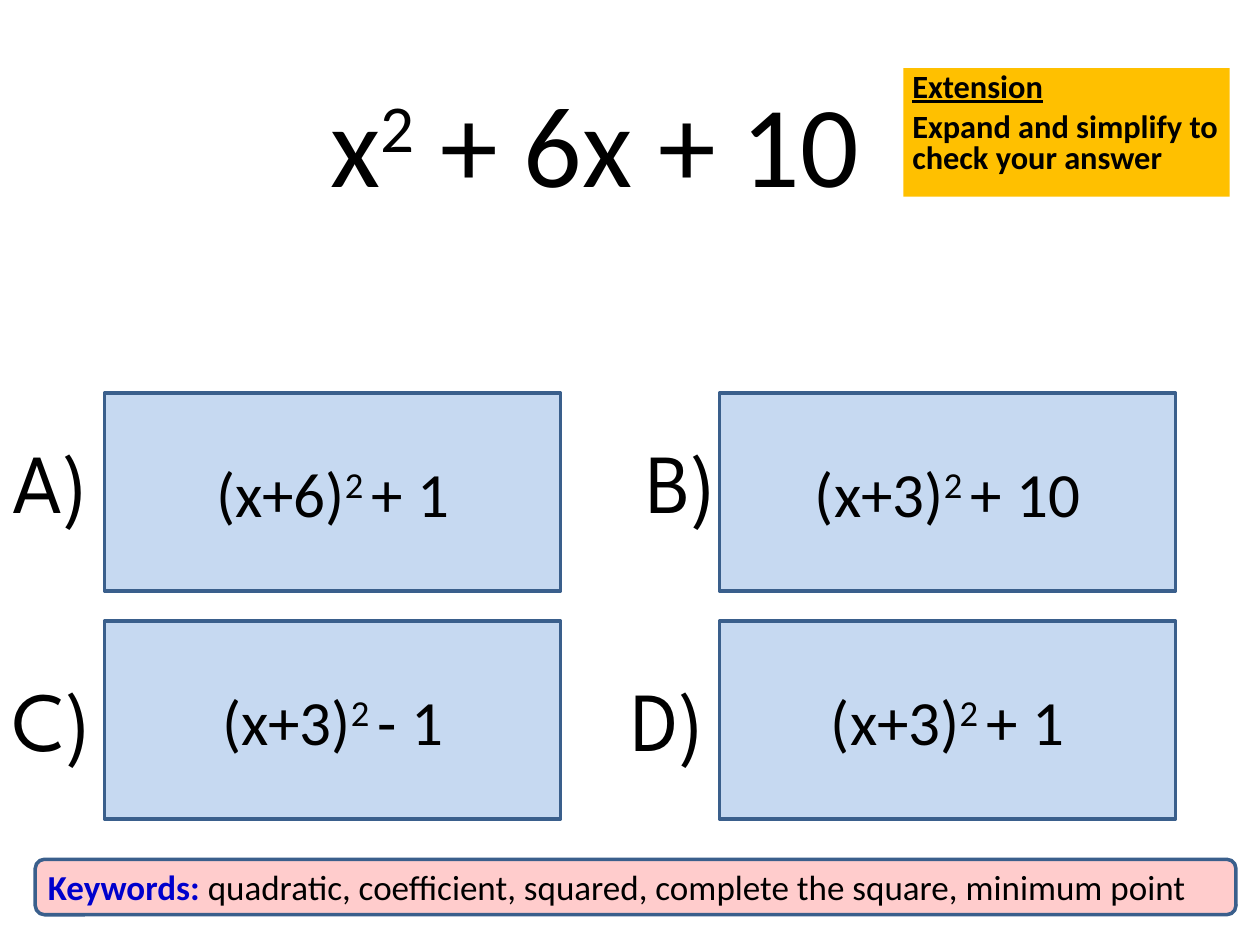
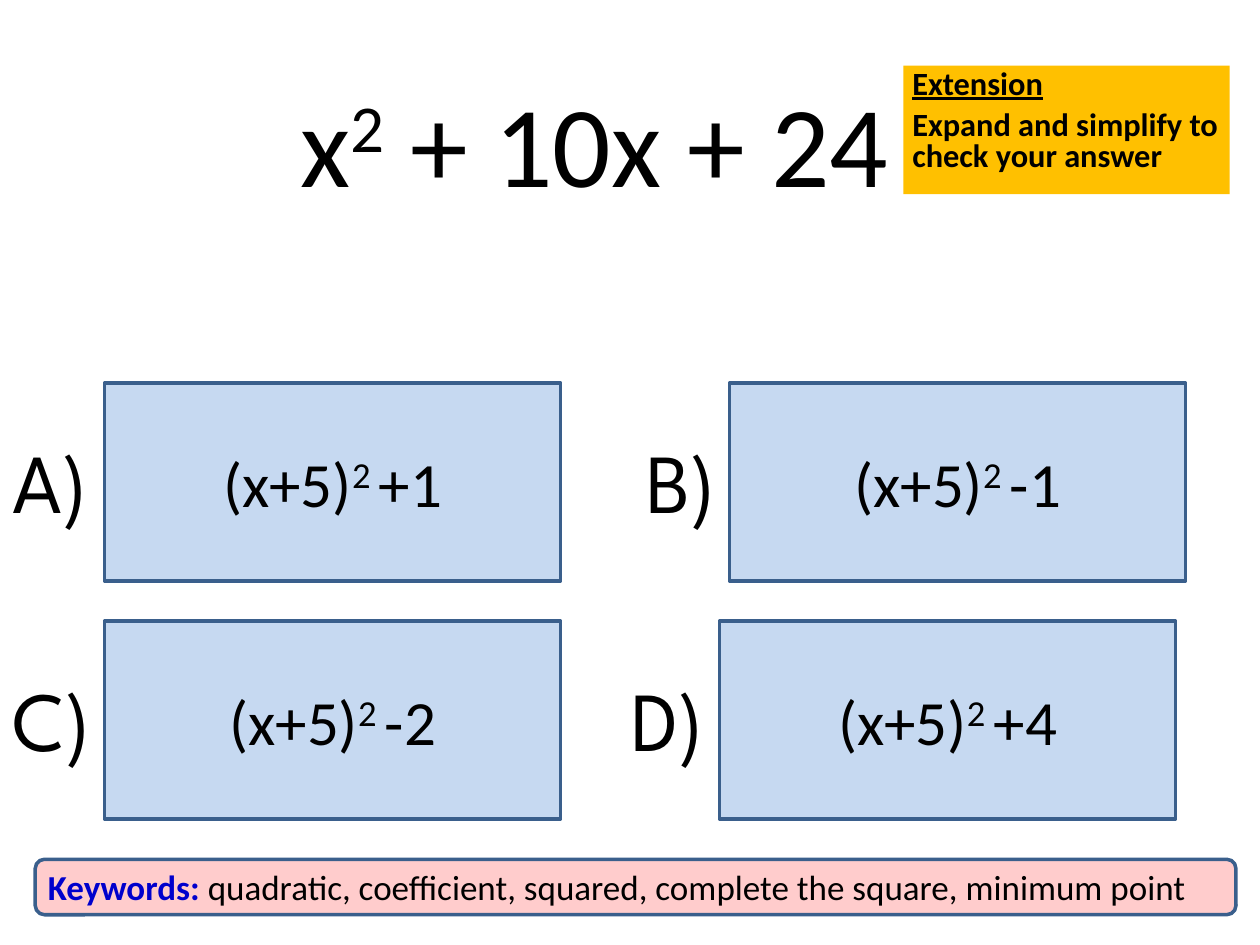
from dataclasses import dataclass

from pptx import Presentation
from pptx.dml.color import RGBColor as RGB
from pptx.enum.shapes import MSO_SHAPE as SHAPE
from pptx.enum.text import MSO_ANCHOR as ANCHOR, MSO_AUTO_SIZE as AUTO, PP_ALIGN as ALIGN
from pptx.util import Inches, Pt


@dataclass(frozen=True)
class Theme:
    """Colours, fonts and type sizes of the quiz slides."""
    ink: str = "000000"
    option: str = "C6D9F1"
    outline: str = "3A5F8C"
    bar: str = "FFCCCC"
    keyword: str = "0000CC"
    note: str = "FFC000"
    body_font: str = "Calibri"
    label_font: str = "League Spartan"
    equation_size: float = 66
    label_size: float = 48
    option_size: float = 36
    bar_size: float = 20
    note_size: float = 18.5
    line_width: float = 2


T = Theme()
TITLE_ONLY = 5
OPTION_SIZE = (3.62, 1.57)
LABELS = {
    "A)": (0, 3.36, 0.95, 0.91),
    "B)": (5.03, 3.36, 0.84, 0.91),
    "C)": (0, 5.25, 1, 0.91),
    "D)": (4.91, 5.25, 0.95, 0.91),
}
LEFT, RIGHT, LOWER = 0.83, 5.71, 4.93
QUESTIONS = [
    {
        "equation": " + 6x + 10",
        "options": [("(x+6)", "+ 1"), ("(x+3)", "+ 10"), ("(x+3)", "- 1"), ("(x+3)", "+ 1")],
        "spots": [(LEFT, 3.12), (RIGHT, 3.12), (LEFT, LOWER), (RIGHT, LOWER)],
        "note_top": 0.54,
    },
    {
        "equation": " + 10x + 24",
        "options": [("(x+5)", "+1"), ("(x+5)", "-1"), ("(x+5)", "-2"), ("(x+5)", "+4")],
        "spots": [(LEFT, 3.04), (5.79, 3.04), (LEFT, LOWER), (RIGHT, LOWER)],
        "note_top": 0.52,
    },
]


def write(tf, paragraphs, size, font=T.body_font, color=T.ink, bold=False, align=ALIGN.LEFT,
          anchor=ANCHOR.TOP, wrap=True, margins=(0.1, 0.05), spacing=None, gap=0):
    """Fill a text frame with paragraphs of (text, overrides) runs."""
    tf.auto_size = AUTO.NONE
    tf.word_wrap = wrap
    tf.vertical_anchor = anchor
    tf.margin_left = tf.margin_right = Inches(margins[0])
    tf.margin_top = tf.margin_bottom = Inches(margins[1])
    for i, runs in enumerate(paragraphs):
        p = tf.add_paragraph() if i else tf.paragraphs[0]
        p.alignment = align
        p.space_before = Pt(gap if i else 0)
        if spacing:
            p.line_spacing = spacing
        for text, extra in runs:
            r = p.add_run()
            r.text = text
            r.font.name = font
            r.font.size = Pt(size)
            r.font.color.rgb = RGB.from_string(extra.get("color", color))
            r.font.bold = extra.get("bold", bold)
            r.font.underline = extra.get("underline", False)
            if extra.get("raised"):
                r._r.get_or_add_rPr().set("baseline", "30000")


def add_panel(s, box, fill, kind=SHAPE.RECTANGLE, outlined=True):
    """Add a flat filled shape and return it."""
    sp = s.shapes.add_shape(kind, *map(Inches, box))
    sp.shadow.inherit = False
    sp.fill.solid()
    sp.fill.fore_color.rgb = RGB.from_string(fill)
    if outlined:
        sp.line.color.rgb = RGB.from_string(T.outline)
        sp.line.width = Pt(T.line_width)
    else:
        sp.line.fill.background()
    return sp


def squared(base, power, rest):
    """Return the runs of a squared term and what follows it."""
    return [(base, {}), (power, {"raised": True}), (rest, {})]


def add_equation(s, rest):
    """Place the quadratic in the title placeholder."""
    sp = s.shapes.title
    sp.left, sp.top, sp.width, sp.height = map(Inches, (0.98, 0.52, 7.48, 1.21))
    write(sp.text_frame, [squared("x", "2", rest)], T.equation_size, align=ALIGN.CENTER)


def add_option(s, spot, base, rest):
    """Add one answer box."""
    sp = add_panel(s, (*spot, *OPTION_SIZE), T.option)
    write(sp.text_frame, [squared(base, "2 ", rest)], T.option_size,
          align=ALIGN.CENTER, anchor=ANCHOR.MIDDLE)


def add_label(s, text, box):
    """Add the letter beside an answer box."""
    sp = s.shapes.add_textbox(*map(Inches, box))
    write(sp.text_frame, [[(text, {})]], T.label_size, font=T.label_font, wrap=False)


def add_keywords(s):
    """Add the keyword bar at the foot of the slide."""
    sp = add_panel(s, (0.28, 6.82, 9.53, 0.44), T.bar, SHAPE.ROUNDED_RECTANGLE)
    words = "quadratic, coefficient, squared, complete the square, minimum point"
    write(sp.text_frame, [[("Keywords: ", {"color": T.keyword, "bold": True}), (words, {})]],
          T.bar_size, anchor=ANCHOR.MIDDLE, margins=(0.08, 0))


def add_extension(s, top):
    """Add the extension task note."""
    sp = add_panel(s, (7.17, top, 2.59, 1.02), T.note, outlined=False)
    write(sp.text_frame,
          [[("Extension", {"underline": True})],
           [("Expand and simplify to check your answer", {})]],
          T.note_size, bold=True, margins=(0.07, 0.04), spacing=0.8, gap=5.5)


def add_question(prs, question):
    """Add one multiple-choice slide."""
    s = prs.slides.add_slide(prs.slide_layouts[TITLE_ONLY])
    add_equation(s, question["equation"])
    for spot, option in zip(question["spots"], question["options"]):
        add_option(s, spot, *option)
    for text, box in LABELS.items():
        add_label(s, text, box)
    add_keywords(s)
    add_extension(s, question["note_top"])


def main():
    """Build the quiz and save it."""
    prs = Presentation()
    prs.slide_width, prs.slide_height = Inches(10), Inches(7.5)
    for question in QUESTIONS:
        add_question(prs, question)
    prs.save("out.pptx")


if __name__ == "__main__":
    main()
